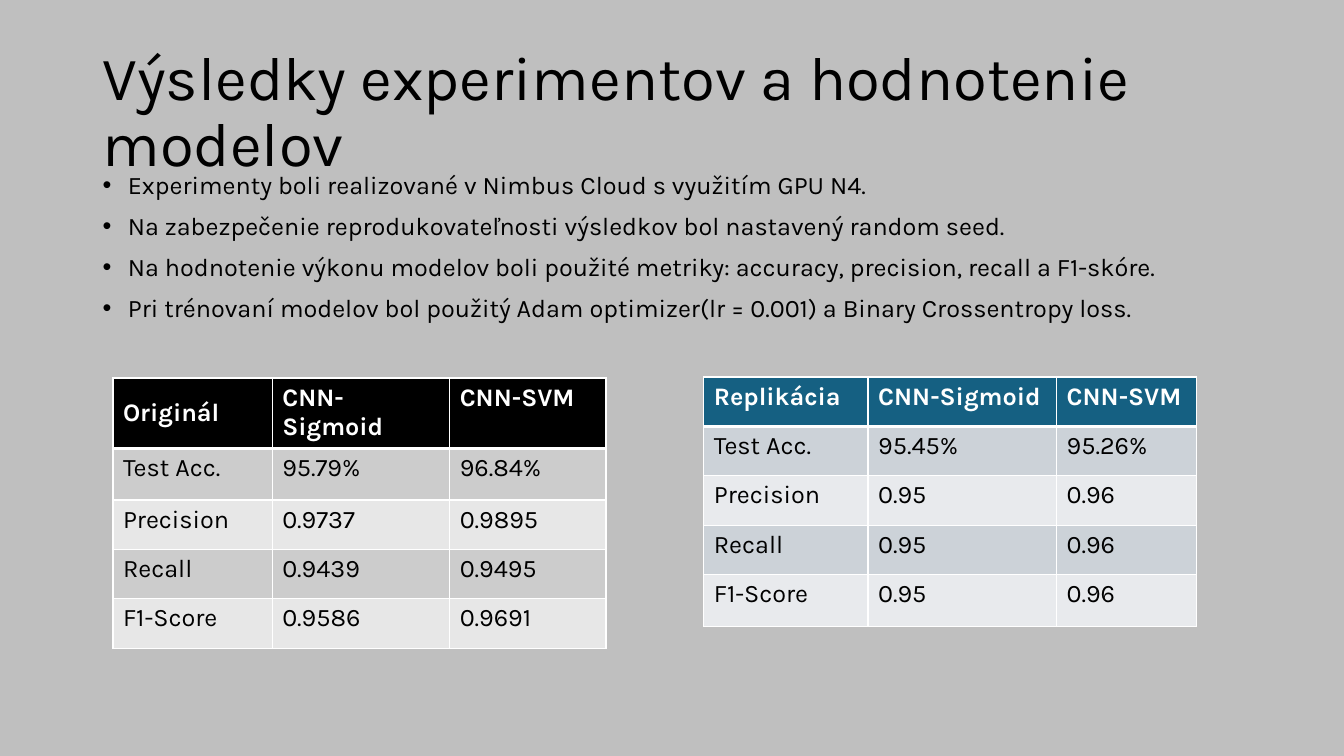
"""Build the slide with experiment results and two model comparison tables."""
import lxml.etree
import pptx
import pptx.dml.color
import pptx.enum.text
import pptx.oxml.ns
import pptx.util

Inches = pptx.util.Inches

THEME = {
    "font": "Karla",
    "title_size": 44,
    "body_size": 18,
    "background": "BFBFBF",
    "text": "000000",
    "light": "FFFFFF",
    "thin": 1,
    "thick": 3,
}

TITLE = "Výsledky experimentov a hodnotenie modelov"
TITLE_BOX = (0.92, 0.4, 11.5, 1.45)
BULLETS = [
    "Experimenty boli realizované v Nimbus Cloud s využitím GPU N4.",
    "Na zabezpečenie reprodukovateľnosti výsledkov bol nastavený random seed.",
    "Na hodnotenie výkonu modelov boli použité metriky: accuracy, precision, recall a F1-skóre.",
    "Pri trénovaní modelov bol použitý Adam optimizer(lr = 0.001) a Binary Crossentropy loss.",
]
BULLETS_BOX = (0.92, 1.66, 11.5, 1.77)
MODELS = ["CNN-Sigmoid", "CNN-SVM"]
METRICS = ["Test Acc.", "Precision", "Recall", "F1-Score"]
TABLES = [
    {
        "name": "Originál",
        "position": (1.12, 3.75),
        "columns": [1.58, 1.76, 1.55],
        "rows": [0.47, 0.51, 0.49, 0.49, 0.49],
        "header": "000000",
        "bands": ["CCCCCC", "E7E7E7"],
        "name_anchor": pptx.enum.text.MSO_ANCHOR.MIDDLE,
        "values": [("95.79%", "96.84%"), ("0.9737", "0.9895"),
                   ("0.9439", "0.9495"), ("0.9586", "0.9691")],
    },
    {
        "name": "Replikácia",
        "position": (6.98, 3.74),
        "columns": [1.63, 1.87, 1.39],
        "rows": [0.49, 0.49, 0.49, 0.49, 0.52],
        "header": "156082",
        "bands": ["CCD2D8", "E8EAED"],
        "name_anchor": pptx.enum.text.MSO_ANCHOR.TOP,
        "values": [("95.45%", "95.26%")] + [("0.95", "0.96")] * 3,
    },
]


def rgb(color):
    return pptx.dml.color.RGBColor.from_string(color)


def add_element(parent, tag, **attributes):
    return lxml.etree.SubElement(parent, pptx.oxml.ns.qn(tag), **attributes)


def format_runs(paragraph, size, color, bold=False):
    for run in paragraph.runs:
        run.font.name = THEME["font"]
        run.font.size = pptx.util.Pt(size)
        run.font.bold = bold
        run.font.color.rgb = rgb(color)


def add_text(slide, box, lines, size, anchor):
    shape = slide.shapes.add_textbox(*map(Inches, box))
    text_frame = shape.text_frame
    text_frame.word_wrap = True
    text_frame.vertical_anchor = anchor
    text_frame.text = "\n".join(lines)
    for paragraph in text_frame.paragraphs:
        paragraph.line_spacing = 0.9
        format_runs(paragraph, size, THEME["text"])
    return text_frame.paragraphs


def add_bullet(paragraph):
    paragraph.space_before = pptx.util.Pt(10)
    properties = paragraph._p.get_or_add_pPr()
    properties.set("marL", str(Inches(0.25)))
    properties.set("indent", str(Inches(-0.25)))
    add_element(properties, "a:buFont", typeface="Arial")
    add_element(properties, "a:buChar", char="•")


def add_borders(cell, top, bottom):
    properties = cell._tc.get_or_add_tcPr()
    widths = {"L": THEME["thin"], "R": THEME["thin"], "T": top, "B": bottom}
    for side, width in widths.items():
        line = add_element(properties, f"a:ln{side}", w=str(pptx.util.Pt(width)))
        add_element(add_element(line, "a:solidFill"), "a:srgbClr", val=THEME["light"])


def add_results(slide, results):
    content = [[results["name"], *MODELS]]
    content += [[metric, *values] for metric, values in zip(METRICS, results["values"])]
    columns, rows = results["columns"], results["rows"]
    box = (*results["position"], sum(columns), sum(rows))
    table = slide.shapes.add_table(len(rows), len(columns), *map(Inches, box)).table
    for column, width in zip(table.columns, columns):
        column.width = Inches(width)
    for index, (row, height) in enumerate(zip(table.rows, rows)):
        row.height = Inches(height)
        header = index == 0
        fill = results["header"] if header else results["bands"][(index - 1) % 2]
        top = THEME["thick"] if index == 1 else THEME["thin"]
        bottom = THEME["thick"] if header else THEME["thin"]
        for cell, text in zip(row.cells, content[index]):
            cell.text_frame.text = text
            color = THEME["light"] if header else THEME["text"]
            format_runs(cell.text_frame.paragraphs[0], THEME["body_size"], color, header)
            add_borders(cell, top, bottom)
            cell.fill.solid()
            cell.fill.fore_color.rgb = rgb(fill)
    table.cell(0, 0).vertical_anchor = results["name_anchor"]


def main():
    presentation = pptx.Presentation()
    presentation.slide_width = Inches(13.33)
    presentation.slide_height = Inches(7.5)
    slide = presentation.slides.add_slide(presentation.slide_layouts[6])
    slide.background.fill.solid()
    slide.background.fill.fore_color.rgb = rgb(THEME["background"])
    anchors = pptx.enum.text.MSO_ANCHOR
    add_text(slide, TITLE_BOX, [TITLE], THEME["title_size"], anchors.MIDDLE)
    for paragraph in add_text(slide, BULLETS_BOX, BULLETS, THEME["body_size"], anchors.TOP):
        add_bullet(paragraph)
    for results in TABLES:
        add_results(slide, results)
    presentation.save("out.pptx")


if __name__ == "__main__":
    main()
